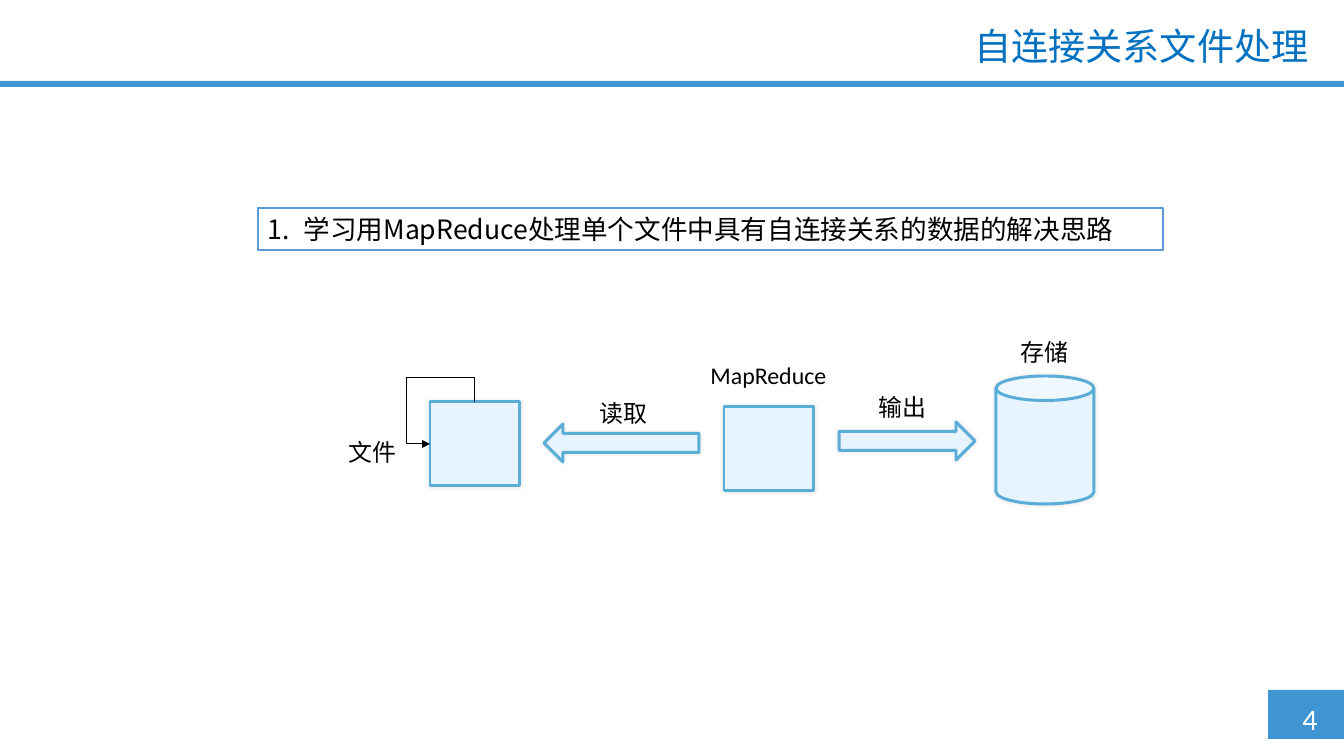
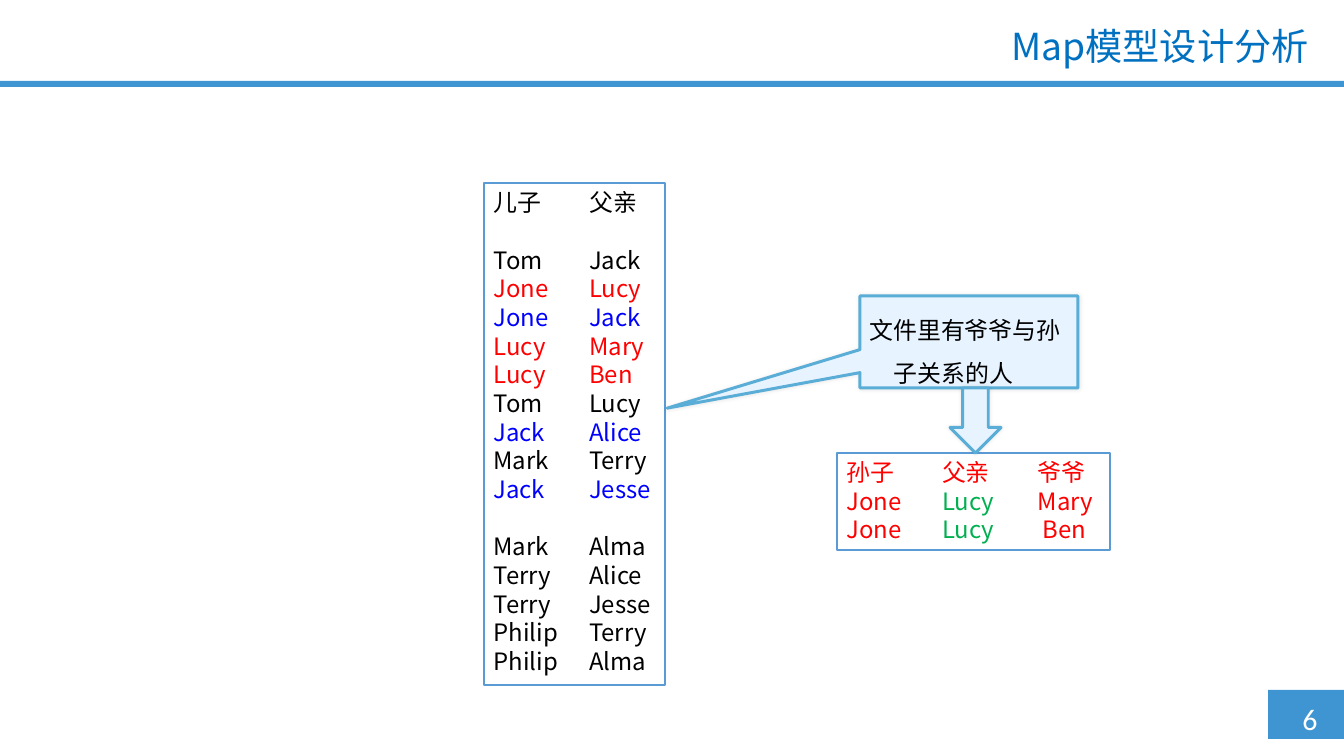
from lxml import etree
from pptx import Presentation
from pptx.dml.color import RGBColor
from pptx.enum.shapes import MSO_CONNECTOR, MSO_SHAPE
from pptx.enum.text import MSO_ANCHOR, MSO_AUTO_SIZE, PP_ALIGN
from pptx.oxml.ns import qn
from pptx.util import Pt

PX = 9565  # EMU in one px
SLIDE_W, SLIDE_H = 1344, 756
TITLE_BOX = (740, 21, 578, 54)
LABEL_W, LABEL_H = 150, 38
NODE_W, NODE_H = 90, 84
TAB = 96
ROW_PT = 21.6

RECT, CAN = MSO_SHAPE.RECTANGLE, MSO_SHAPE.CAN
LEFT_ARROW, RIGHT_ARROW = MSO_SHAPE.LEFT_ARROW, MSO_SHAPE.RIGHT_ARROW
DOWN_ARROW, CALLOUT = MSO_SHAPE.DOWN_ARROW, MSO_SHAPE.RECTANGULAR_CALLOUT
LEFT, RIGHT = PP_ALIGN.LEFT, PP_ALIGN.RIGHT
TOP, MIDDLE = MSO_ANCHOR.TOP, MSO_ANCHOR.MIDDLE

CJK, LATIN = "Noto Sans CJK SC", "Calibri"
COLORS = {
    "band": "3F95D2", "title": "0070C0", "frame": "5B9BD5",
    "node": "E7F4FF", "edge": "5AADD6", "white": "FFFFFF",
    "black": "000000", "red": "FF0000", "blue": "0000FF", "green": "00B050",
}

# Each group starts after a gap of one row.
FAMILY_GROUPS = [
    [("儿子\t父亲", "black")],
    [("Tom\tJack", "black"), ("Jone\tLucy", "red"), ("Jone\tJack", "blue"),
     ("Lucy\tMary", "red"), ("Lucy\tBen", "red"), ("Tom\tLucy", "black"),
     ("Jack\tAlice", "blue"), ("Mark\tTerry", "black"), ("Jack\tJesse", "blue")],
    [("Mark\tAlma", "black"), ("Terry\tAlice", "black"), ("Terry\tJesse", "black"),
     ("Philip\tTerry", "black"), ("Philip\tAlma", "black")],
]
GRANDPARENT_ROWS = [
    [("孙子\t父亲\t爷爷", "red")],
    [("Jone\t", "red"), ("Lucy\t", "green"), ("Mary", "red")],
    [("Jone\t", "red"), ("Lucy\t", "green"), (" Ben", "red")],
]


def rgb(name):
    return RGBColor.from_string(COLORS[name])


def emu(*lengths):
    return [round(length * PX) for length in lengths]


def place(shape, box):
    shape.left, shape.top, shape.width, shape.height = emu(*box)


def write(frame, paragraphs, size=18, font=CJK, align=LEFT, anchor=TOP,
          spacing=None, hanging=0, number=None, tabs=0, gaps=()):
    """Fill a frame with paragraphs, each a list of (text, colour) runs.

    gaps holds the indexes of the paragraphs that start after an empty row.
    """
    frame.word_wrap = True
    frame.auto_size = MSO_AUTO_SIZE.NONE
    frame.vertical_anchor = anchor
    for index, runs in enumerate(paragraphs):
        paragraph = frame.paragraphs[0] if index == 0 else frame.add_paragraph()
        props = paragraph._p.get_or_add_pPr()
        props.set("marL", str(hanging * PX))
        props.set("indent", str(-hanging * PX))
        if number:
            etree.SubElement(props, qn("a:buFont"), typeface=font)
            etree.SubElement(props, qn("a:buAutoNum"), type=number)
        else:
            etree.SubElement(props, qn("a:buNone"))
        if tabs:
            stops = etree.SubElement(props, qn("a:tabLst"))
            for stop in range(1, tabs + 1):
                etree.SubElement(stops, qn("a:tab"), pos=str(stop * TAB * PX), algn="l")
        paragraph.alignment = align
        paragraph.space_before = Pt(ROW_PT if index in gaps else 0)
        if spacing:
            paragraph.line_spacing = Pt(spacing)
        for text, color in runs:
            run = paragraph.add_run()
            run.text = text
            run.font.size = Pt(size)
            run.font.name = font
            run.font.color.rgb = rgb(color)
            etree.SubElement(run.font._element, qn("a:ea"), typeface=CJK)


def paint(shape, fill, line=None, width=1):
    shape.fill.solid()
    shape.fill.fore_color.rgb = rgb(fill)
    if line:
        shape.line.color.rgb = rgb(line)
        shape.line.width = Pt(width)
    else:
        shape.line.fill.background()


def add_shape(slide, kind, box, fill, line=None, width=1):
    shape = slide.shapes.add_shape(kind, *emu(*box))
    shape.shadow.inherit = False
    paint(shape, fill, line, width)
    return shape


def add_node(slide, kind, box):
    """Add a pale blue diagram shape with a faint shadow."""
    node = add_shape(slide, kind, box, "node", "edge", 2.25)
    effects = node.element.find(".//" + qn("a:effectLst"))
    shadow = etree.SubElement(effects, qn("a:outerShdw"), blurRad=str(Pt(3)),
                              dist="0", dir="0", algn="ctr", rotWithShape="0")
    tint = etree.SubElement(shadow, qn("a:srgbClr"), val=COLORS["black"])
    etree.SubElement(tint, qn("a:alpha"), val="10000")
    return node


def add_label(slide, text, x, y):
    label = slide.shapes.add_textbox(*emu(x, y, LABEL_W, LABEL_H))
    write(label.text_frame, [[(text, "black")]], font=LATIN, spacing=22)


def add_self_loop(slide, box):
    """Lead an arrow from the top of the box round to its left side."""
    x, y, w, h = box
    center_x, center_y = x + w / 4, y + h / 4
    # The route is turned by 270 degrees, so its width and height swap.
    half_w, half_h = h / 4, w / 4
    loop = slide.shapes.add_connector(MSO_CONNECTOR.ELBOW, *emu(
        center_x + half_w, center_y + half_h, center_x - half_w, center_y - half_h))
    loop.element.find(".//" + qn("a:xfrm")).set("rot", "16200000")
    geometry = loop.element.find(".//" + qn("a:prstGeom"))
    geometry.set("prst", "bentConnector4")
    guides = geometry.find(qn("a:avLst"))
    if guides is None:
        guides = etree.SubElement(geometry, qn("a:avLst"))
    for name, value in (("adj1", -57700), ("adj2", 152900)):
        etree.SubElement(guides, qn("a:gd"), name=name, fmla=f"val {value}")
    loop.line.color.rgb = rgb("black")
    loop.line.width = Pt(0.75)
    line = loop.element.find(".//" + qn("a:ln"))
    etree.SubElement(line, qn("a:tailEnd"), type="triangle")
    etree.SubElement(line.getparent(), qn("a:effectLst"))


def prepare_layout(layout):
    """Keep only the title and body of the layout and set the title's place."""
    for holder in list(layout.placeholders):
        if holder.placeholder_format.idx > 1:
            holder.element.getparent().remove(holder.element)
    place(layout.placeholders[0], TITLE_BOX)


def add_bands(slide):
    """Draw the header rule and number field, then hand them to the layout."""
    for box in ((0, 81, SLIDE_W, 6), (1268, 690, 76, 49)):
        band = add_shape(slide, RECT, box, "band")
        slide.slide_layout.shapes.element.append(band.element)


def add_heading(slide, title, page):
    write(slide.shapes.title.text_frame, [[(title, "title")]], size=28,
          align=RIGHT, anchor=MIDDLE, spacing=30)
    number = slide.shapes.add_textbox(*emu(1293, 696, 51, 46))
    write(number.text_frame, [[(page, "white")]], size=22.5, font=LATIN)


def fill_body(slide, box, paragraphs, **text_format):
    body = slide.placeholders[1]
    place(body, box)
    paint(body, "white", "frame")
    write(body.text_frame, paragraphs, **text_format)


def add_data_flow(slide, box):
    x, y, w, h = box
    source_file = (x + 91, y + 70, NODE_W, NODE_H)
    nodes = [
        (RECT, source_file),
        (RECT, (x + 385, y + 75, NODE_W, NODE_H)),
        (LEFT_ARROW, (x + 205, y + 92, 155, 38)),
        (RIGHT_ARROW, (x + 500, y + 90, 136, 38)),
        (CAN, (x + w - 98, y + 44, 98, h - 44)),
    ]
    for kind, node_box in nodes:
        add_node(slide, kind, node_box)
    labels = [("文件", 0, 100), ("读取", 251, 61), ("MapReduce", 362, 23),
              ("输出", 530, 55), ("存储", 672, 0)]
    for text, dx, dy in labels:
        add_label(slide, text, x + dx, y + dy)
    add_self_loop(slide, source_file)


def add_grandparent_result(slide, box):
    """Add the callout, the arrow below it and the resulting rows."""
    x, y, w, h = box
    callout_h, arrow_h = 92, 65
    callout = add_node(slide, CALLOUT, (x + 23, y, 218, callout_h))
    callout.adjustments[0], callout.adjustments[1] = -1.385, 0.72
    write(callout.text_frame, [[("文件里有爷爷与孙子关系的人", "black")]],
          font=LATIN, spacing=32.8, hanging=24)
    rows_y = callout_h + arrow_h
    result = add_shape(slide, RECT, (x, y + rows_y, w, h - rows_y), "white", "frame")
    write(result.text_frame, GRANDPARENT_ROWS, spacing=ROW_PT, tabs=2)
    add_node(slide, DOWN_ARROW, (x + 113, y + callout_h, 51, arrow_h))


def build_goal_slide(slide):
    add_heading(slide, "自连接关系文件处理", "4")
    goal = "学习用MapReduce处理单个文件中具有自连接关系的数据的解决思路"
    fill_body(slide, (258, 208, 905, 42), [[(goal, "black")]], size=20,
              spacing=24, hanging=36, number="arabicPeriod")
    add_data_flow(slide, (339, 332, 755, 172))


def build_map_slide(slide):
    add_heading(slide, "Map模型设计分析", "6")
    rows, gaps = [], []
    for group in FAMILY_GROUPS:
        if rows:
            gaps.append(len(rows))
        rows += [[row] for row in group]
    fill_body(slide, (484, 183, 181, 502), rows, spacing=ROW_PT, tabs=1, gaps=gaps)
    add_grandparent_result(slide, (837, 296, 273, 254))


def main():
    deck = Presentation()
    deck.slide_width, deck.slide_height = emu(SLIDE_W, SLIDE_H)
    layout = deck.slide_layouts[1]
    prepare_layout(layout)
    goal_slide, map_slide = [deck.slides.add_slide(layout) for _ in range(2)]
    add_bands(goal_slide)
    build_goal_slide(goal_slide)
    build_map_slide(map_slide)
    deck.save("out.pptx")


if __name__ == "__main__":
    main()
